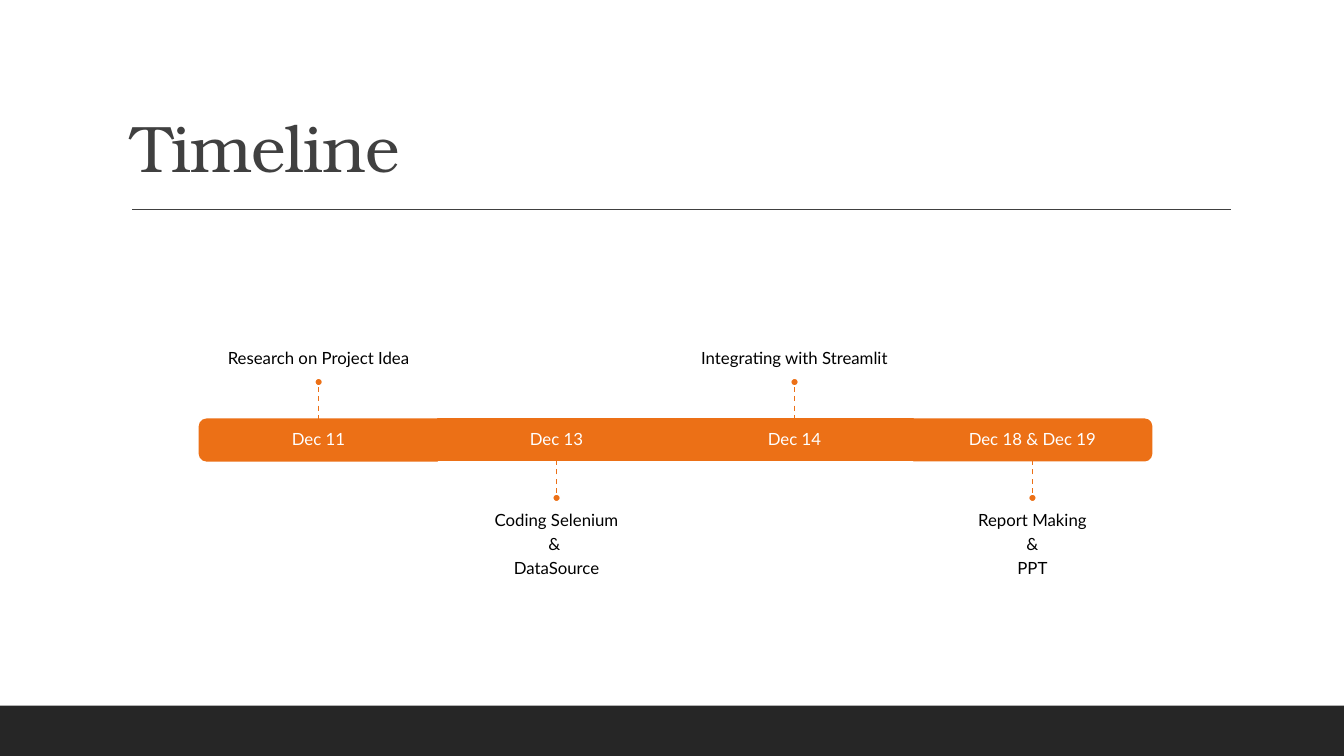
from pptx import Presentation
from pptx.dml.color import RGBColor
from pptx.enum.dml import MSO_LINE
from pptx.enum.shapes import MSO_CONNECTOR, MSO_SHAPE
from pptx.enum.text import MSO_ANCHOR, MSO_AUTO_SIZE, PP_ALIGN
from pptx.oxml.ns import qn
from pptx.util import Inches, Pt
from lxml import etree

TOP, MIDDLE, BOTTOM = MSO_ANCHOR.TOP, MSO_ANCHOR.MIDDLE, MSO_ANCHOR.BOTTOM
LEFT, CENTER = PP_ALIGN.LEFT, PP_ALIGN.CENTER
RECT, OVAL, CAP = MSO_SHAPE.RECTANGLE, MSO_SHAPE.OVAL, MSO_SHAPE.ROUND_2_SAME_RECTANGLE
STRAIGHT, DASH = MSO_CONNECTOR.STRAIGHT, MSO_LINE.DASH
TOP_SITE, BOTTOM_SITE = 0, 2

COLORS = {"orange": "EC7016", "white": "FFFFFF", "black": "000000",
          "title": "404040", "footer": "262626"}
BAR_LEFT, BAR_TOP, BAR_HEIGHT, STEP = 1.98, 4.16, 0.41, 2.36
STEM, DOT = 0.33, 0.08
LABEL_WIDTH, LABEL_HEIGHT = 3.93, 1.45
MILESTONES = [
    ("Dec 11", ["Research on Project Idea"]),
    ("Dec 13", ["Coding Selenium", "& ", "DataSource"]),
    ("Dec 14", ["Integrating with Streamlit"]),
    ("Dec 18 & Dec 19", ["Report Making", "&", "PPT"]),
]


def color(name):
    """Return the named colour."""
    return RGBColor.from_string(COLORS[name])


def write(holder, lines, size=12, font="Lato", ink="black", align=CENTER,
          anchor=MIDDLE, insets=(0.1, 0.1, 0.1, 0.1), after=4.2, spacing=None):
    """Fill a text holder with one formatted paragraph per line."""
    frame = holder.text_frame
    frame.word_wrap, frame.auto_size = True, MSO_AUTO_SIZE.NONE
    frame.vertical_anchor = anchor
    (frame.margin_left, frame.margin_top,
     frame.margin_right, frame.margin_bottom) = map(Inches, insets)
    frame.text = "\n".join(lines)
    for paragraph in frame.paragraphs:
        paragraph.alignment, paragraph.line_spacing = align, 0.9
        paragraph.space_before, paragraph.space_after = Pt(0), Pt(after)
        run = paragraph.runs[0]
        run.font.size, run.font.name = Pt(size), font
        run.font.color.rgb = color(ink)
        if spacing is not None:
            run.font._element.set("spc", str(int(spacing * 100)))


def add_text(slide, box, lines, **style):
    """Add a text box at the given left, top, width and height."""
    write(slide.shapes.add_textbox(*map(Inches, box)), lines, **style)


def add_block(slide, kind, box, fill, outline=None, rotation=0):
    """Add a filled preset shape and return it."""
    block = slide.shapes.add_shape(kind, *map(Inches, box))
    block.shadow.inherit = False
    block.rotation = rotation
    block.fill.solid()
    block.fill.fore_color.rgb = color(fill)
    if outline:
        block.line.color.rgb, block.line.width = color(outline), Pt(1.25)
    else:
        block.line.fill.background()
    return block


def add_rule(slide, start, end, ink, dash=None):
    """Add a thin straight connector and return it."""
    rule = slide.shapes.add_connector(STRAIGHT, *map(Inches, start + end))
    rule.line.color.rgb, rule.line.width = color(ink), Pt(1)
    if dash:
        rule.line.dash_style = dash
    etree.SubElement(rule._element.spPr, qn("a:effectLst"))
    return rule


def add_title(slide, text):
    """Place the title with the rule beneath it."""
    title = slide.shapes.title
    title.left, title.top, title.width, title.height = map(Inches, (1.2, 0.31, 11, 1.59))
    write(title, [text], size=47, font="TeX Gyre Bonum", ink="title", align=LEFT,
          anchor=BOTTOM, insets=(0.1, 0.05, 0.1, 0.05), after=0, spacing=-0.5)
    add_rule(slide, (1.31, 2.08), (12.21, 2.08), "title")


def add_segment(slide, index):
    """Add one part of the bar, with a rounded outer end on the first and last."""
    left = BAR_LEFT + index * STEP
    if 0 < index < len(MILESTONES) - 1:
        return add_block(slide, RECT, (left, BAR_TOP, STEP, BAR_HEIGHT), "orange", "orange")
    inset = (STEP - BAR_HEIGHT) / 2
    upright = (left + inset, BAR_TOP - inset, BAR_HEIGHT, STEP)
    return add_block(slide, CAP, upright, "orange", "orange", 90 if index else 270)


def add_milestone(slide, index, date, tasks):
    """Add a dated segment with its stem, dot and label above or below."""
    left = BAR_LEFT + index * STEP
    center = left + STEP / 2
    above = index % 2 == 0
    edge = BAR_TOP if above else BAR_TOP + BAR_HEIGHT
    tip = edge - STEM if above else edge + STEM
    dot_top = tip - DOT if above else tip
    label_top = dot_top - LABEL_HEIGHT if above else dot_top + DOT

    segment = add_segment(slide, index)
    add_text(slide, (left, BAR_TOP, STEP, BAR_HEIGHT), [date], ink="white")
    add_text(slide, (center - LABEL_WIDTH / 2, label_top, LABEL_WIDTH, LABEL_HEIGHT),
             tasks, anchor=BOTTOM if above else TOP,
             insets=(0, 0, 0, 0.1) if above else (0, 0.1, 0, 0))
    stem = add_rule(slide, (center, tip), (center, edge), "orange", DASH)
    if not segment.rotation:
        stem.end_connect(segment, TOP_SITE if above else BOTTOM_SITE)
    add_block(slide, OVAL, (center - DOT / 2, dot_top, DOT, DOT), "orange", "white")


def main():
    """Build the timeline slide and save it."""
    deck = Presentation()
    deck.slide_width, deck.slide_height = Inches(13.33), Inches(7.5)
    slide = deck.slides.add_slide(deck.slide_layouts[5])
    add_block(slide, RECT, (0, 7, 13.33, 0.5), "footer")
    add_title(slide, "Timeline")
    for index, (date, tasks) in enumerate(MILESTONES):
        add_milestone(slide, index, date, tasks)
    deck.save("out.pptx")


if __name__ == "__main__":
    main()
